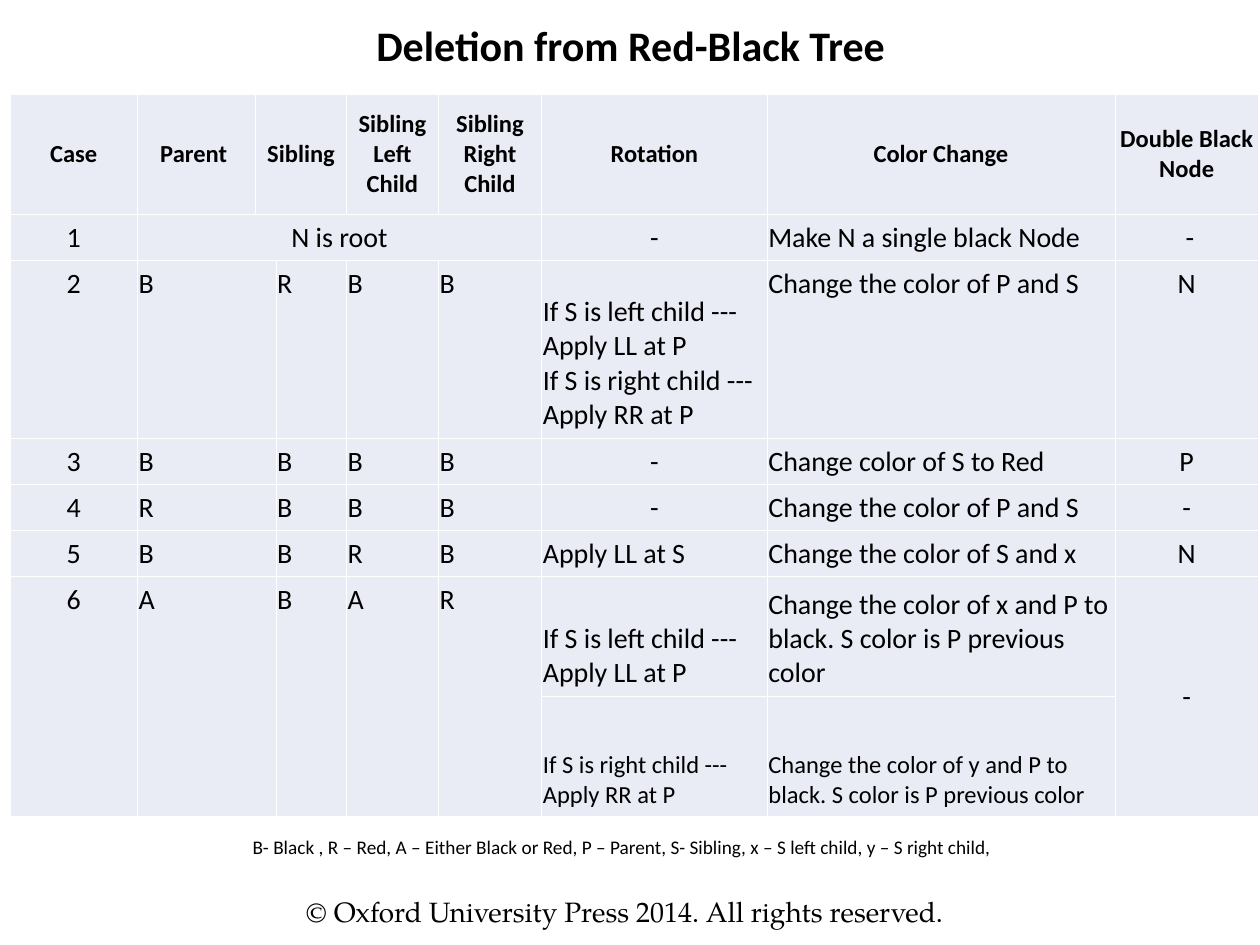
from dataclasses import dataclass
from typing import NamedTuple

from lxml import etree
from pptx import Presentation
from pptx.dml.color import RGBColor
from pptx.enum.text import MSO_ANCHOR, MSO_AUTO_SIZE, PP_ALIGN
from pptx.oxml.ns import qn
from pptx.util import Emu, Inches, Pt

LEFT, CENTER = PP_ALIGN.LEFT, PP_ALIGN.CENTER
TOP, MIDDLE, BOTTOM = MSO_ANCHOR.TOP, MSO_ANCHOR.MIDDLE, MSO_ANCHOR.BOTTOM
FIXED, GROW = MSO_AUTO_SIZE.NONE, MSO_AUTO_SIZE.SHAPE_TO_FIT_TEXT


@dataclass(frozen=True)
class Theme:
    ink: str = "000000"
    cell: str = "E9EBF5"
    rule: str = "FFFFFF"
    rule_width: float = 0.45
    body_font: str = "Calibri"
    credit_font: str = "TeX Gyre Pagella"
    title: int = 24
    body: int = 16
    small: int = 14
    legend: int = 11


class Area(NamedTuple):
    left: float
    top: float
    width: float
    height: float


class Entry(NamedTuple):
    row: int
    col: int
    text: str
    align: int = LEFT
    anchor: int = TOP
    rows: int = 1
    cols: int = 1
    size: int = 16
    bold: bool = False


class Case(NamedTuple):
    node_colors: str
    rotation: str
    color_change: str
    double_black: str
    anchor: int = BOTTOM
    double_anchor: int = BOTTOM
    rows: int = 1


THEME = Theme()
TABLE_AREA = Area(0.08, 0.75, 9.92, 5.68)
COLUMN_WIDTHS = [1.01, 0.94, 0.16, 0.56, 0.73, 0.82, 1.79, 2.76, 1.14]
ROW_HEIGHTS = [0.95, 0.35, 1.41, 0.35, 0.35, 0.35, 0.95, 0.95]
ROTATION_COL, CHANGE_COL, DOUBLE_COL = 6, 7, 8

HEADINGS = [
    (0, "Case"), (1, "Parent "), (2, "Sibling"), (4, "Sibling\vLeft Child"),
    (5, "Sibling\vRight Child"), (6, "Rotation"), (7, "Color Change"),
    (8, "Double Black Node"),
]
LEFT_RULE = "If S is left child ---\vApply LL at P"
RIGHT_RULE = "If S is right child ---\vApply RR at P"
CASES = [
    Case("", "-", "Make N a single black Node", " -"),
    Case("BRBB", f"{LEFT_RULE}\v{RIGHT_RULE}", "Change the color of P and S", "N",
         TOP, TOP),
    Case("BBBB", "-", "Change color of S to Red", "P"),
    Case("RBBB", "-", "Change the color of P and S", "-"),
    Case("BBRB", "Apply LL at S", "Change the color of S and x", "N"),
    Case("ABAR", LEFT_RULE,
         "Change the color of x and P to black. S color is P previous color", "-",
         BOTTOM, MIDDLE, 2),
]


def heading_entries() -> list[Entry]:
    return [Entry(0, col, text, CENTER, MIDDLE, cols=2 if col == 2 else 1,
                  size=THEME.small, bold=True) for col, text in HEADINGS]


def case_entries(row: int, case: Case) -> list[Entry]:
    entries = [Entry(row, 0, str(row), CENTER, rows=case.rows)]
    if case.node_colors:
        entries += [Entry(row, col, color, rows=case.rows, cols=2 if col == 1 else 1)
                    for col, color in zip((1, 3, 4, 5), case.node_colors)]
    else:
        entries.append(Entry(row, 1, "N is root", CENTER, BOTTOM, cols=5))
    rotation_align = CENTER if case.rotation == "-" else LEFT
    return entries + [
        Entry(row, ROTATION_COL, case.rotation, rotation_align, BOTTOM),
        Entry(row, CHANGE_COL, case.color_change, LEFT, case.anchor),
        Entry(row, DOUBLE_COL, case.double_black, CENTER, case.double_anchor, case.rows),
    ]


def all_entries() -> list[Entry]:
    entries = heading_entries()
    for row, case in enumerate(CASES, 1):
        entries += case_entries(row, case)
    last = len(ROW_HEIGHTS) - 1
    mirrored = "Change the color of y and P to black. S color is P previous color"
    return entries + [
        Entry(last, ROTATION_COL, RIGHT_RULE, anchor=BOTTOM, size=THEME.small),
        Entry(last, CHANGE_COL, mirrored, anchor=BOTTOM, size=THEME.small),
    ]


def write(frame, text: str, size: int, align: int, font: str = THEME.body_font,
          bold: bool = False) -> None:
    frame.text = text
    paragraph = frame.paragraphs[0]
    paragraph.alignment = align
    paragraph.font.name = font
    paragraph.font.size = Pt(size)
    paragraph.font.bold = bold
    paragraph.font.color.rgb = RGBColor.from_string(THEME.ink)


def place(shape, area: Area) -> None:
    shape.left, shape.top, shape.width, shape.height = map(Inches, area)


def add_title(slide, text: str, area: Area) -> None:
    title = slide.shapes.title
    place(title, area)
    frame = title.text_frame
    write(frame, text, THEME.title, CENTER, bold=True)
    frame.paragraphs[0].line_spacing = 0.9
    frame.vertical_anchor = MIDDLE
    frame.auto_size = FIXED


def add_note(slide, text: str, area: Area, size: int, align: int, font: str) -> None:
    frame = slide.shapes.add_textbox(*map(Inches, area)).text_frame
    frame.word_wrap = True
    frame.auto_size = GROW
    write(frame, text, size, align, font)


def style_cell(cell) -> None:
    cell.margin_left = cell.margin_right = Inches(0.01)
    cell.margin_top = cell.margin_bottom = Inches(0.05)
    cell.fill.solid()
    cell.fill.fore_color.rgb = RGBColor.from_string(THEME.cell)
    properties = cell._tc.get_or_add_tcPr()
    for position, side in enumerate(("a:lnL", "a:lnR", "a:lnT", "a:lnB")):
        line = etree.Element(qn(side), w=str(Pt(THEME.rule_width)))
        fill = etree.SubElement(line, qn("a:solidFill"))
        etree.SubElement(fill, qn("a:srgbClr"), val=THEME.rule)
        properties.insert(position, line)


def add_case_table(slide, entries: list[Entry]) -> None:
    table = slide.shapes.add_table(len(ROW_HEIGHTS), len(COLUMN_WIDTHS),
                                   *map(Inches, TABLE_AREA)).table
    table.first_row = table.horz_banding = False
    for column, width in zip(table.columns, COLUMN_WIDTHS):
        column.width = Emu(Inches(width))
    for row, height in zip(table.rows, ROW_HEIGHTS):
        row.height = Emu(Inches(height))
    for cell in table.iter_cells():
        style_cell(cell)
    for entry in entries:
        cell = table.cell(entry.row, entry.col)
        if entry.rows * entry.cols > 1:
            cell.merge(table.cell(entry.row + entry.rows - 1, entry.col + entry.cols - 1))
        write(cell.text_frame, entry.text, entry.size, entry.align, bold=entry.bold)
        cell.vertical_anchor = entry.anchor


def main() -> None:
    deck = Presentation()
    deck.slide_width, deck.slide_height = Inches(10), Inches(7.5)
    slide = deck.slides.add_slide(deck.slide_layouts.get_by_name("Title Only"))
    add_note(slide, "© Oxford University Press 2014. All rights reserved.",
             Area(2.33, 7.05, 5.92, 0.37), THEME.body, LEFT, THEME.credit_font)
    add_title(slide, "Deletion from Red-Black Tree", Area(0.69, 0.08, 8.63, 0.6))
    add_case_table(slide, all_entries())
    add_note(slide, "B- Black , R – Red, A – Either Black or Red, P – Parent, S- Sibling, "
             "x – S left child, y – S right child, ",
             Area(0.08, 6.58, 9.75, 0.29), THEME.legend, CENTER, THEME.body_font)
    deck.save("out.pptx")


if __name__ == "__main__":
    main()
